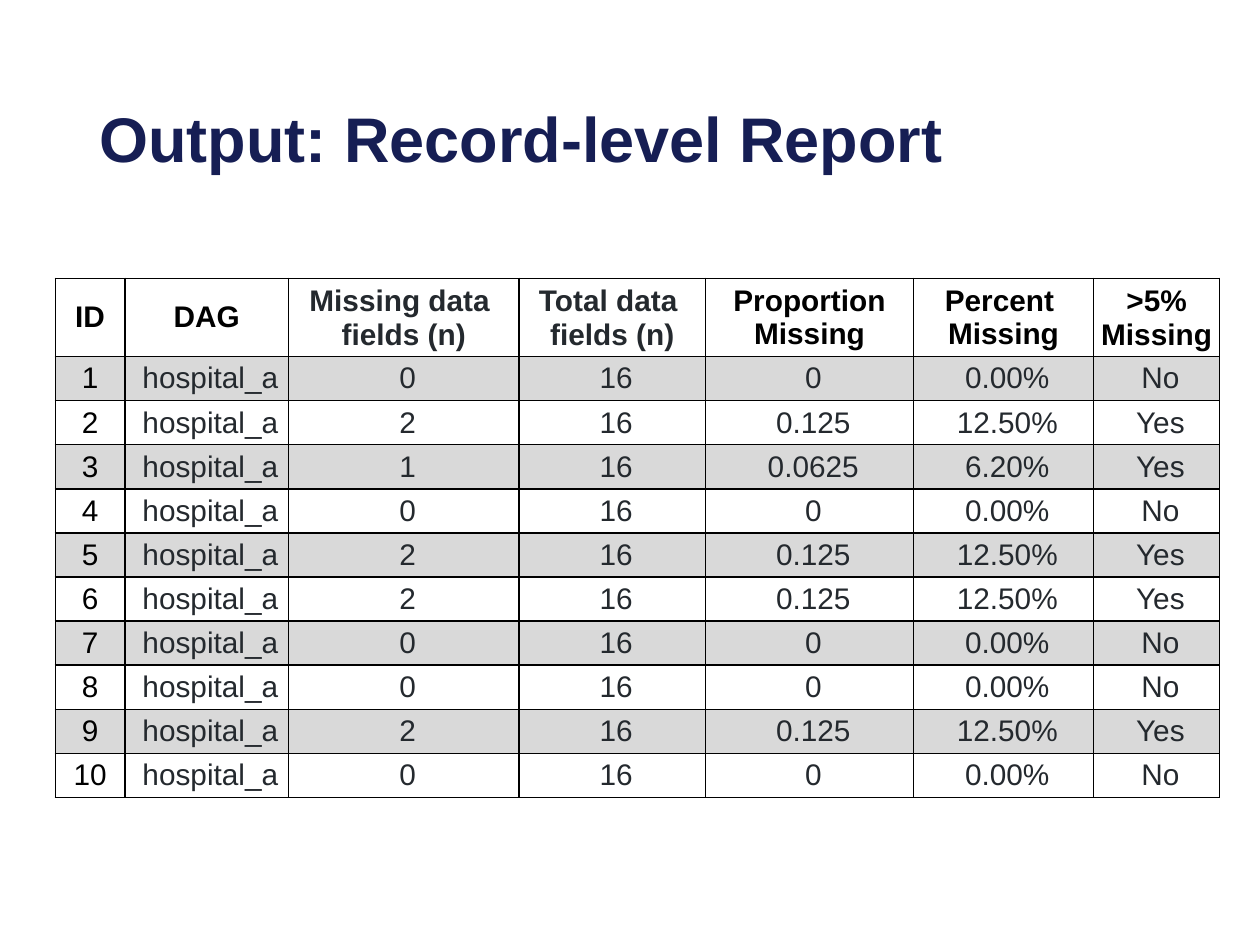
from dataclasses import dataclass

from lxml.etree import SubElement
from pptx import Presentation
from pptx.dml.color import RGBColor as RGB
from pptx.enum.text import MSO_ANCHOR as Anchor, PP_ALIGN as Align
from pptx.oxml.ns import qn
from pptx.util import Inches, Pt

TITLE_ONLY = 5


@dataclass(frozen=True)
class Theme:
    font: str = "Arial"
    title: str = "161E54"
    ink: str = "000000"
    body: str = "24292E"
    white: str = "FFFFFF"
    band: str = "D9D9D9"
    title_size: float = 36
    cell_size: float = 17
    border: float = 1


def apply(obj, values):
    for name, value in values.items():
        setattr(obj, name, value)


class Deck:
    """Holds the style and the current slide; lengths are on a 100 x 75 grid."""

    def __init__(self, theme):
        self.theme = theme
        self.prs = Presentation()
        apply(self.prs, {"slide_width": Inches(10), "slide_height": Inches(7.5)})
        self.unit = self.prs.slide_width / 100
        self.s = self.prs.slides.add_slide(self.prs.slide_layouts[TITLE_ONLY])

    def units(self, n):
        return round(n * self.unit)

    def box(self, *lengths):
        return dict(zip(("left", "top", "width", "height"), map(self.units, lengths)))

    def set_text(self, tf, text, size, color, bold, **para):
        tf.text = text
        for p in tf.paragraphs:
            apply(p, para)
            for r in p.runs:
                apply(r.font, {"name": self.theme.font, "size": Pt(size), "bold": bold})
                r.font.color.rgb = RGB.from_string(color)

    def title(self, text, *lengths):
        sp = self.s.shapes.title
        apply(sp, self.box(*lengths))
        apply(sp.text_frame, {"vertical_anchor": Anchor.MIDDLE, "word_wrap": True})
        self.set_text(sp.text_frame, text, self.theme.title_size, self.theme.title, True,
                      alignment=Align.LEFT, line_spacing=0.9)

    def borders(self, cell):
        tc_pr = cell._tc.get_or_add_tcPr()
        for side in "LRTB":
            ln = SubElement(tc_pr, qn(f"a:ln{side}"), w=str(Pt(self.theme.border)))
            fill = SubElement(ln, qn("a:solidFill"))
            SubElement(fill, qn("a:srgbClr"), val=self.theme.ink)

    def cell(self, cell, text, color, fill, bold, insets):
        self.borders(cell)
        cell.fill.solid()
        cell.fill.fore_color.rgb = RGB.from_string(fill)
        sides = ("margin_left", "margin_top", "margin_right", "margin_bottom")
        apply(cell, dict(zip(sides, map(Inches, insets))))
        cell.vertical_anchor = Anchor.MIDDLE
        self.set_text(cell.text_frame, text, self.theme.cell_size, color, bold,
                      alignment=Align.CENTER)

    def table(self, left, top, widths, heights):
        place = self.box(left, top, sum(widths), sum(heights))
        tbl = self.s.shapes.add_table(len(heights), len(widths), **place).table
        apply(tbl, {"first_row": False, "horz_banding": False})
        for col, width in zip(tbl.columns, widths):
            col.width = self.units(width)
        for row, height in zip(tbl.rows, heights):
            row.height = self.units(height)
        return tbl


# Cell insets: left, top, right, bottom in inches
ROOMY = (0.08, 0.04, 0.08, 0.04)
TIGHT = (0.01, 0.01, 0.01, 0)
VALUE = (0.07, 0.04, 0.01, 0.04)

# Record data: missing fields per record, and what each count leads to
TOTAL_FIELDS = 16
MISSING_COUNTS = [0, 2, 1, 0, 2, 2, 0, 0, 2, 0]
RESULTS = {
    0: ("0", "0.00%", "No"),
    1: ("0.0625", "6.20%", "Yes"),
    2: ("0.125", "12.50%", "Yes"),
}


def main():
    theme = Theme()
    deck = Deck(theme)

    # Title
    deck.title("Output: Record-level Report", 6.9, 4, 86.2, 14.5)

    # Report table
    widths = [5.5, 13, 18.3, 14.8, 16.5, 14.3, 10]
    tbl = deck.table(4.4, 22.1, widths, [6.2] + [3.5] * len(MISSING_COUNTS))

    # Header row
    headers = [
        ("ID", theme.ink, ROOMY),
        ("DAG", theme.ink, ROOMY),
        ("Missing data \nfields (n)", theme.body, TIGHT),
        ("Total data \nfields (n)", theme.body, TIGHT),
        ("Proportion\nMissing", theme.ink, ROOMY),
        ("Percent \nMissing", theme.ink, ROOMY),
        (">5%\nMissing", theme.ink, TIGHT),
    ]
    for c, (text, color, insets) in enumerate(headers):
        deck.cell(tbl.cell(0, c), text, color, theme.white, True, insets)

    # Record rows, shaded on odd IDs
    for record, missing in enumerate(MISSING_COUNTS, start=1):
        fill = theme.band if record % 2 else theme.white
        values = (record, "hospital_a", missing, TOTAL_FIELDS, *RESULTS[missing])
        for c, value in enumerate(values):
            color, insets = (theme.body, VALUE) if c else (theme.ink, ROOMY)
            deck.cell(tbl.cell(record, c), str(value), color, fill, False, insets)

    deck.prs.save("out.pptx")


if __name__ == "__main__":
    main()
